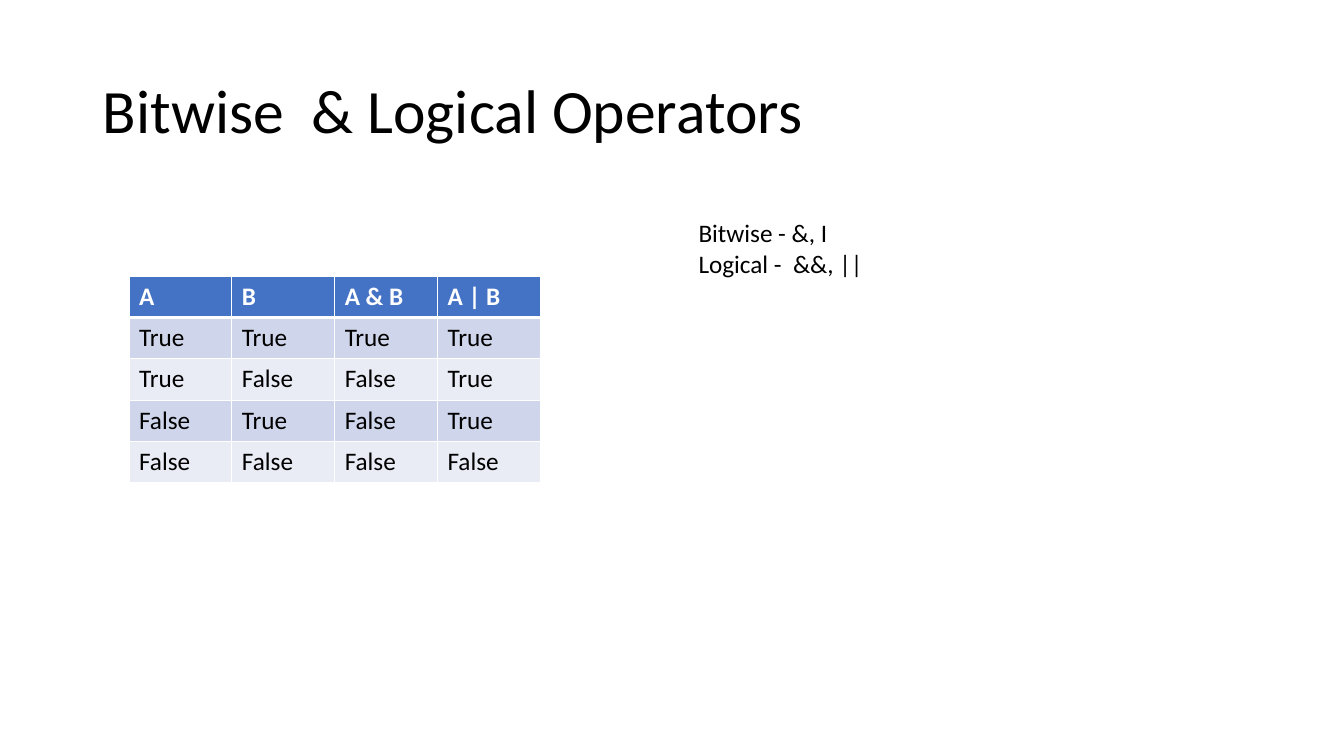
"""Build a slide on bitwise and logical operators with a truth table."""
import lxml.etree
import pptx
import pptx.dml.color
import pptx.enum.text
import pptx.oxml.ns
import pptx.util
from pptx.util import Inches

TITLE = "Bitwise  & Logical Operators"
NOTES = ["Bitwise - &, I", "Logical -  &&, ||"]
TRUTH_TABLE = [
    ("A", "B", "A & B", "A | B"),
    ("True", "True", "True", "True"),
    ("True", "False", "False", "True"),
    ("False", "True", "False", "True"),
    ("False", "False", "False", "False"),
]
COLORS = {"text": "000000", "white": "FFFFFF", "header": "4472C4",
          "odd": "CFD5EA", "even": "E9EBF5"}
FONT = "Calibri"
COLUMN_WIDTH, ROW_HEIGHT = 1.02, 0.41


def rgb(name):
    return pptx.dml.color.RGBColor.from_string(COLORS[name])


def add_span(para, text, size, color="text", bold=False):
    span = para.add_run()
    span.text = text
    span.font.name = FONT
    span.font.size = pptx.util.Pt(size)
    span.font.bold = bold
    span.font.color.rgb = rgb(color)


def set_borders(cell, bottom_width):
    properties = cell._tc.get_or_add_tcPr()
    qn = pptx.oxml.ns.qn
    for side, width in (("L", 1), ("R", 1), ("T", 1), ("B", bottom_width)):
        line = lxml.etree.SubElement(properties, qn(f"a:ln{side}"), w=str(pptx.util.Pt(width)))
        fill = lxml.etree.SubElement(line, qn("a:solidFill"))
        lxml.etree.SubElement(fill, qn("a:srgbClr"), val=COLORS["white"])


def add_title(page):
    title = page.shapes.title
    title.left, title.top = Inches(0.92), Inches(0.4)
    title.width, title.height = Inches(11.5), Inches(1.45)
    frame = title.text_frame
    frame.vertical_anchor = pptx.enum.text.MSO_ANCHOR.MIDDLE
    para = frame.paragraphs[0]
    para.alignment = pptx.enum.text.PP_ALIGN.LEFT
    para.line_spacing = 0.9
    add_span(para, TITLE, 44)


def add_truth_table(page):
    row_count, column_count = len(TRUTH_TABLE), len(TRUTH_TABLE[0])
    table = page.shapes.add_table(
        row_count, column_count, Inches(1.28), Inches(2.74),
        Inches(COLUMN_WIDTH * column_count), Inches(ROW_HEIGHT * row_count)).table
    for row_index, values in enumerate(TRUTH_TABLE):
        is_header = row_index == 0
        band = "header" if is_header else ("odd" if row_index % 2 else "even")
        for column_index, value in enumerate(values):
            cell = table.cell(row_index, column_index)
            set_borders(cell, 3 if is_header else 1)
            cell.fill.solid()
            cell.fill.fore_color.rgb = rgb(band)
            add_span(cell.text_frame.paragraphs[0], value, 18,
                     "white" if is_header else "text", is_header)


def add_notes(page):
    box = page.shapes.add_textbox(Inches(6.83), Inches(2.11), Inches(4.54), Inches(1.01))
    frame = box.text_frame
    frame.word_wrap = True
    for index, text in enumerate(NOTES):
        para = frame.add_paragraph() if index else frame.paragraphs[0]
        add_span(para, text, 18)


def main():
    deck = pptx.Presentation()
    deck.slide_width, deck.slide_height = Inches(13.33), Inches(7.5)
    page = deck.slides.add_slide(deck.slide_layouts[5])
    add_title(page)
    add_truth_table(page)
    add_notes(page)
    deck.save("out.pptx")


if __name__ == "__main__":
    main()
